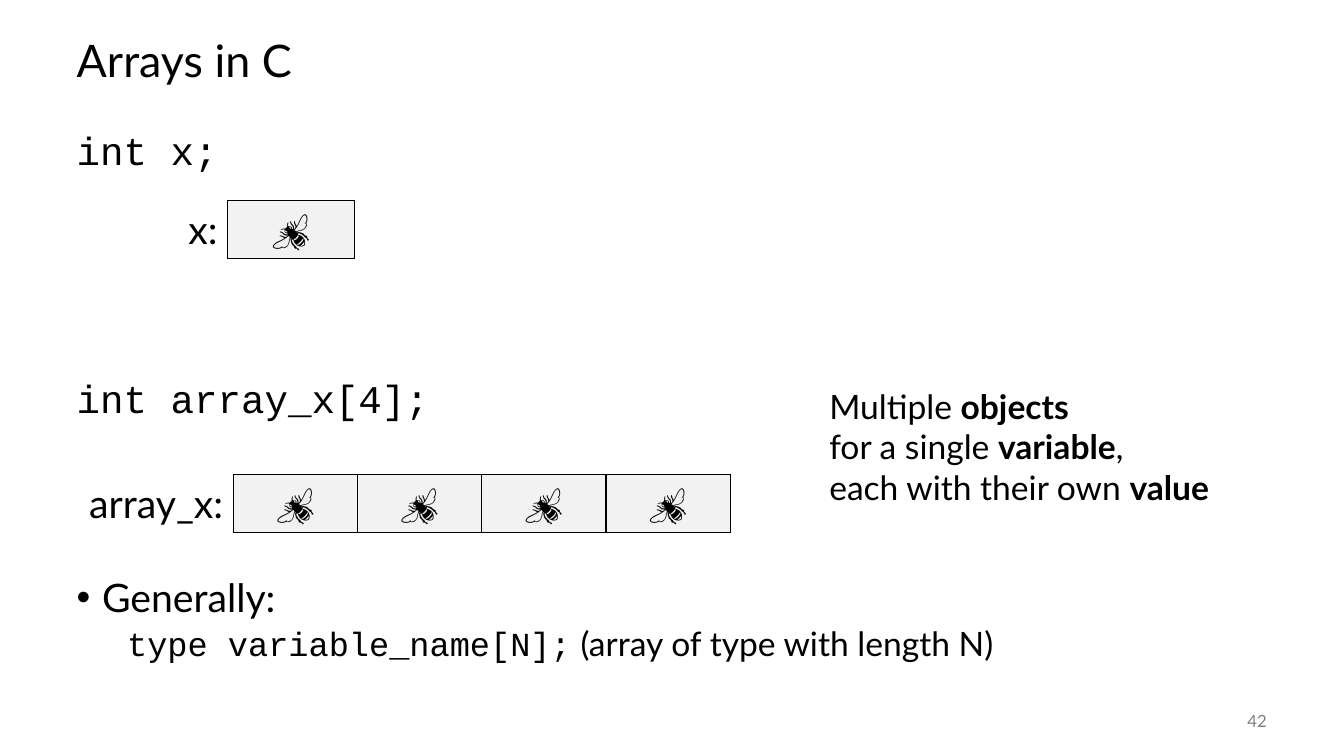
from lxml import etree
from pptx import Presentation
from pptx.dml.color import RGBColor
from pptx.enum.text import MSO_ANCHOR, MSO_AUTO_SIZE, PP_ALIGN
from pptx.oxml.ns import qn
from pptx.util import Cm, Pt

BLACK = RGBColor(0x00, 0x00, 0x00)
GREY = RGBColor(0x80, 0x80, 0x80)
CELL_GREY = RGBColor(0xF2, 0xF2, 0xF2)
LEFT, CENTER, RIGHT = PP_ALIGN.LEFT, PP_ALIGN.CENTER, PP_ALIGN.RIGHT
TOP, MIDDLE = MSO_ANCHOR.TOP, MSO_ANCHOR.MIDDLE
NO_FIT = MSO_AUTO_SIZE.NONE

SANS, MONO = "Lato", "Courier New"
LEFT_EDGE = 1.68
BEE = "🐝"


class SlideBuilder:
    """Holds the text style and the current slide; lengths are in cm."""

    def __init__(self, prs):
        self.s = prs.slides.add_slide(prs.slide_layouts[1])

    def run(self, p, text, size, font=SANS, color=BLACK, bold=False):
        r = p.add_run()
        r.text = text
        r.font.name, r.font.size, r.font.bold = font, Pt(size), bold
        r.font.color.rgb = color

    def frame(self, sp, anchor):
        tf = sp.text_frame
        tf.word_wrap = True
        tf.auto_size = NO_FIT
        tf.vertical_anchor = anchor
        return tf

    def placeholder(self, idx, x, y, w, h, anchor):
        sp = self.s.placeholders[idx]
        sp.left, sp.top, sp.width, sp.height = Cm(x), Cm(y), Cm(w), Cm(h)
        return self.frame(sp, anchor)

    def title(self, text, *box):
        p = self.placeholder(0, *box, MIDDLE).paragraphs[0]
        p.alignment, p.line_spacing = LEFT, 0.9
        self.run(p, text, 32)

    def body(self, items, *box):
        """Each item: space before, margin, first-line indent, bullet, tab, runs."""
        tf = self.placeholder(1, *box, TOP)
        for i, (before, margin, indent, bullet, tab, runs) in enumerate(items):
            p = tf.add_paragraph() if i else tf.paragraphs[0]
            pPr = p._p.get_or_add_pPr()
            pPr.set("marL", str(Cm(margin)))
            pPr.set("indent", str(Cm(indent)))
            if bullet:
                etree.SubElement(pPr, qn("a:buChar")).set("char", bullet)
            else:
                etree.SubElement(pPr, qn("a:buNone"))
            if tab:
                tabs = etree.SubElement(pPr, qn("a:tabLst"))
                etree.SubElement(tabs, qn("a:tab"), pos=str(Cm(tab)), algn="l")
            p.alignment, p.line_spacing, p.space_before = LEFT, 0.9, Pt(before)
            for text, size, font in runs:
                self.run(p, text, size, font)

    def text(self, lines, x, y, w, h, size, color=BLACK, align=LEFT, anchor=TOP):
        """Each line is a list of (text, bold) runs."""
        sp = self.s.shapes.add_textbox(Cm(x), Cm(y), Cm(w), Cm(h))
        p = self.frame(sp, anchor).paragraphs[0]
        p.alignment = align
        for i, line in enumerate(lines):
            if i:
                p.add_line_break()
            for text, bold in line:
                self.run(p, text, size, color=color, bold=bold)

    def border(self, cell, sides):
        tcPr = cell._tc.get_or_add_tcPr()
        for i, side in enumerate(sides):
            ln = etree.Element(qn("a:ln" + side), w=str(Pt(1)))
            fill = etree.SubElement(ln, qn("a:solidFill"))
            etree.SubElement(fill, qn("a:srgbClr"), val=str(BLACK))
            tcPr.insert(i, ln)

    def memory(self, label, count, x, y, label_w, cell_w):
        """One-row table: a variable's name, then its memory cells."""
        width = label_w + count * cell_w
        table = self.s.shapes.add_table(
            1, count + 1, Cm(x), Cm(y), Cm(width), Cm(1.45)).table
        table.first_row = table.horz_banding = False
        for i, text in enumerate([label] + [BEE] * count):
            table.columns[i].width = Cm(cell_w if i else label_w)
            cell = table.cell(0, i)
            p = cell.text_frame.paragraphs[0]
            p.alignment = CENTER if i else RIGHT
            self.run(p, text, 28)
            if i:
                cell.fill.solid()
                cell.fill.fore_color.rgb = CELL_GREY
            else:
                cell.fill.background()
            self.border(cell, "LRTB" if i else "R")


def main():
    prs = Presentation()
    prs.slide_width, prs.slide_height = Cm(33.87), Cm(19.05)
    b = SlideBuilder(prs)

    # Title, declarations and general form
    b.title("Arrays in C", LEFT_EDGE, 0.64, 30.48, 1.9)
    b.body([
        (0, 0, 0, None, None, [("int x;", 28, MONO)]),
        (147, 0, 0, None, None, [("int array_x[4];", 28, MONO)]),
        (112, 0.64, -0.64, "•", None, [("Generally:", 28, SANS)]),
        (5, 0, 1.27, None, 13.3, [
            ("type variable_name[N];", 24, MONO),
            ("\t(array of type with length N)", 24, SANS)]),
    ], LEFT_EDGE, 3.18, 30.48, 13.97)

    # Memory of each variable
    b.memory("x:", 1, 2.55, 5.06, 3.19, 3.19)
    b.memory("array_x:", 4, LEFT_EDGE, 11.96, 4.2, 3.13)

    # Side remark
    b.text([
        [("Multiple ", False), ("objects", True)],
        [("for a single ", False), ("variable", True), (",", False)],
        [("each with their own ", False), ("value", True)],
    ], 20.65, 9.6, 10.95, 3.33, 24)

    # Slide number
    b.text([[("42", False)]], 29.64, 17.65, 2.54, 1.02, 12, GREY, RIGHT, MIDDLE)

    prs.save("out.pptx")


if __name__ == "__main__":
    main()
